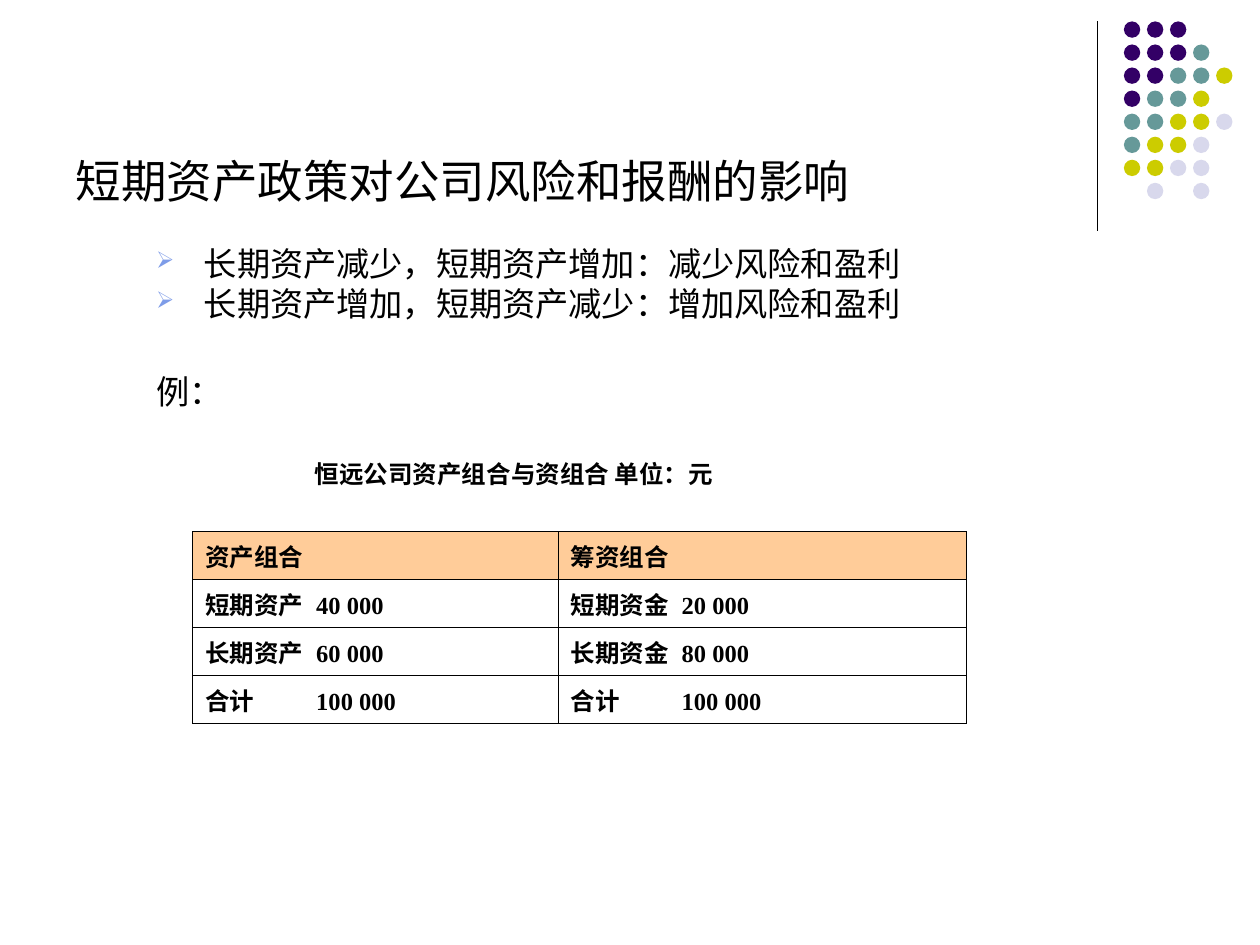
from lxml import etree
from pptx import Presentation
from pptx.dml.color import RGBColor
from pptx.enum.shapes import MSO_CONNECTOR, MSO_SHAPE
from pptx.enum.text import MSO_ANCHOR, MSO_AUTO_SIZE, PP_ALIGN
from pptx.oxml.ns import qn
from pptx.util import Inches, Pt

STRAIGHT = MSO_CONNECTOR.STRAIGHT
OVAL = MSO_SHAPE.OVAL
BOTTOM = MSO_ANCHOR.BOTTOM
NO_AUTOFIT = MSO_AUTO_SIZE.NONE
LEFT = PP_ALIGN.LEFT

CJK_FONT = "Noto Sans CJK SC"
SERIF_FONT = "Times New Roman"
COLORS = {
    "text": "000000",
    "bullet": "7E9CE8",
    "header": "FFCC99",
    "body": "FFFFFF",
    "P": "330066",
    "T": "669999",
    "Y": "CCCC00",
    "L": "D8D8EC",
}

TITLE = "短期资产政策对公司风险和报酬的影响"
POLICIES = [
    "长期资产减少，短期资产增加：减少风险和盈利",
    "长期资产增加，短期资产减少：增加风险和盈利",
]
EXAMPLE = "例："
CAPTION = "恒远公司资产组合与资组合\t单位：元"
PORTFOLIO = [
    ("资产组合", "筹资组合"),
    ("短期资产\t40 000", "短期资金\t20 000"),
    ("长期资产\t60 000", "长期资金\t80 000"),
    ("合计\t100 000", "合计\t100 000"),
]
COLUMN_WIDTHS = (2.9, 3.24)
ROW_HEIGHT = 0.38
# One letter per dot, keyed to COLORS; a space leaves the place empty.
DOT_ROWS = ["PPP", "PPPT", "PPTTY", "PTTY", "TTYYL", "TYYL", "YYLL", " L L"]
DOT_SIZE, DOT_PITCH = 0.13, 0.183


def rgb(key):
    return RGBColor.from_string(COLORS[key])


def format_text(paragraph, size, latin=CJK_FONT, bold=False):
    paragraph.alignment = LEFT
    font = paragraph.font
    font.size, font.bold, font.name = Pt(size), bold, latin
    font.color.rgb = rgb("text")
    etree.SubElement(font._rPr, qn("a:ea"), typeface=CJK_FONT)


def hang(paragraph, bullet=None):
    """Give a hanging indent and, if asked for, a bullet."""
    properties = paragraph._p.get_or_add_pPr()
    properties.set("marL", str(Inches(0.38)))
    properties.set("indent", str(-Inches(0.38)))
    if bullet:
        color = etree.SubElement(properties, qn("a:buClr"))
        etree.SubElement(color, qn("a:srgbClr"), val=COLORS["bullet"])
        etree.SubElement(properties, qn("a:buSzPct"), val="70000")
        etree.SubElement(properties, qn("a:buChar"), char=bullet)


def add_text_frame(slide, left, top, width, height):
    box = slide.shapes.add_textbox(
        Inches(left), Inches(top), Inches(width), Inches(height))
    box.text_frame.word_wrap = True
    return box.text_frame


def add_ornament(slide):
    rule = slide.shapes.add_connector(
        STRAIGHT, Inches(8.71), Inches(0.17), Inches(8.71), Inches(1.83))
    rule.line.color.rgb = rgb("text")
    rule.line.width = Pt(0.75)
    etree.SubElement(rule._element.spPr, qn("a:effectLst"))
    for row, letters in enumerate(DOT_ROWS):
        for column, letter in enumerate(letters):
            if letter == " ":
                continue
            dot = slide.shapes.add_shape(
                OVAL,
                Inches(8.92 + column * DOT_PITCH),
                Inches(0.17 + row * DOT_PITCH),
                Inches(DOT_SIZE), Inches(DOT_SIZE))
            dot.shadow.inherit = False
            dot.fill.solid()
            dot.fill.fore_color.rgb = rgb(letter)
            dot.line.fill.background()


def add_title(slide):
    title = slide.shapes.title
    title.left, title.top = Inches(0.5), Inches(0.36)
    title.width, title.height = Inches(8.25), Inches(1.34)
    frame = title.text_frame
    frame.text = TITLE
    frame.auto_size = NO_AUTOFIT
    frame.vertical_anchor = BOTTOM
    format_text(frame.paragraphs[0], 26)


def add_policies(slide):
    frame = add_text_frame(slide, 1.14, 1.88, 6.3, 4.82)
    frame.text = "\n".join(POLICIES + [EXAMPLE])
    *policies, example = frame.paragraphs
    for policy in policies:
        hang(policy, "➢")
    hang(example)
    example.space_before = Pt(27.5)
    for paragraph in frame.paragraphs:
        format_text(paragraph, 19)


def add_caption(slide):
    frame = add_text_frame(slide, 2.4, 3.59, 4.17, 0.34)
    paragraph = frame.paragraphs[0]
    paragraph.add_run().text = CAPTION
    hang(paragraph)
    format_text(paragraph, 14, bold=True)


def add_borders(cell):
    properties = cell._tc.get_or_add_tcPr()
    for position, side in enumerate(("lnL", "lnR", "lnT", "lnB")):
        border = etree.Element(qn(f"a:{side}"), w=str(Pt(0.45)))
        fill = etree.SubElement(border, qn("a:solidFill"))
        etree.SubElement(fill, qn("a:srgbClr"), val=COLORS["text"])
        properties.insert(position, border)


def add_portfolio(slide):
    table = slide.shapes.add_table(
        len(PORTFOLIO), len(COLUMN_WIDTHS), Inches(1.53), Inches(4.22),
        Inches(sum(COLUMN_WIDTHS)), Inches(ROW_HEIGHT * len(PORTFOLIO))).table
    table.horz_banding = False
    for column, width in zip(table.columns, COLUMN_WIDTHS):
        column.width = Inches(width)
    for row, entries in enumerate(PORTFOLIO):
        for column, entry in enumerate(entries):
            cell = table.cell(row, column)
            cell.text = entry
            cell.fill.solid()
            cell.fill.fore_color.rgb = rgb("body" if row else "header")
            add_borders(cell)
            paragraph = cell.text_frame.paragraphs[0]
            hang(paragraph)
            format_text(paragraph, 14, SERIF_FONT, bold=True)


def main():
    presentation = Presentation()
    presentation.slide_width = Inches(10)
    presentation.slide_height = Inches(7.5)
    slide = presentation.slides.add_slide(presentation.slide_layouts[5])
    add_ornament(slide)
    add_title(slide)
    add_policies(slide)
    add_portfolio(slide)
    add_caption(slide)
    presentation.save("out.pptx")


if __name__ == "__main__":
    main()
